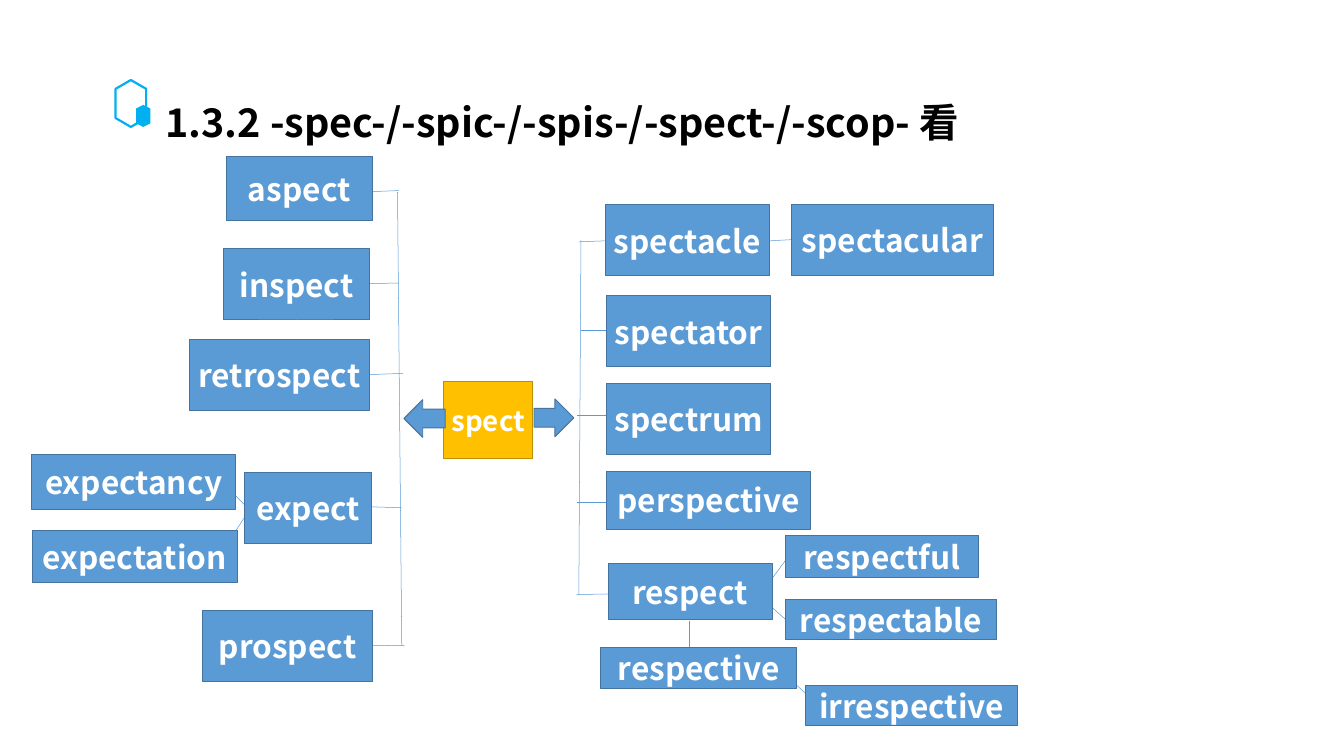
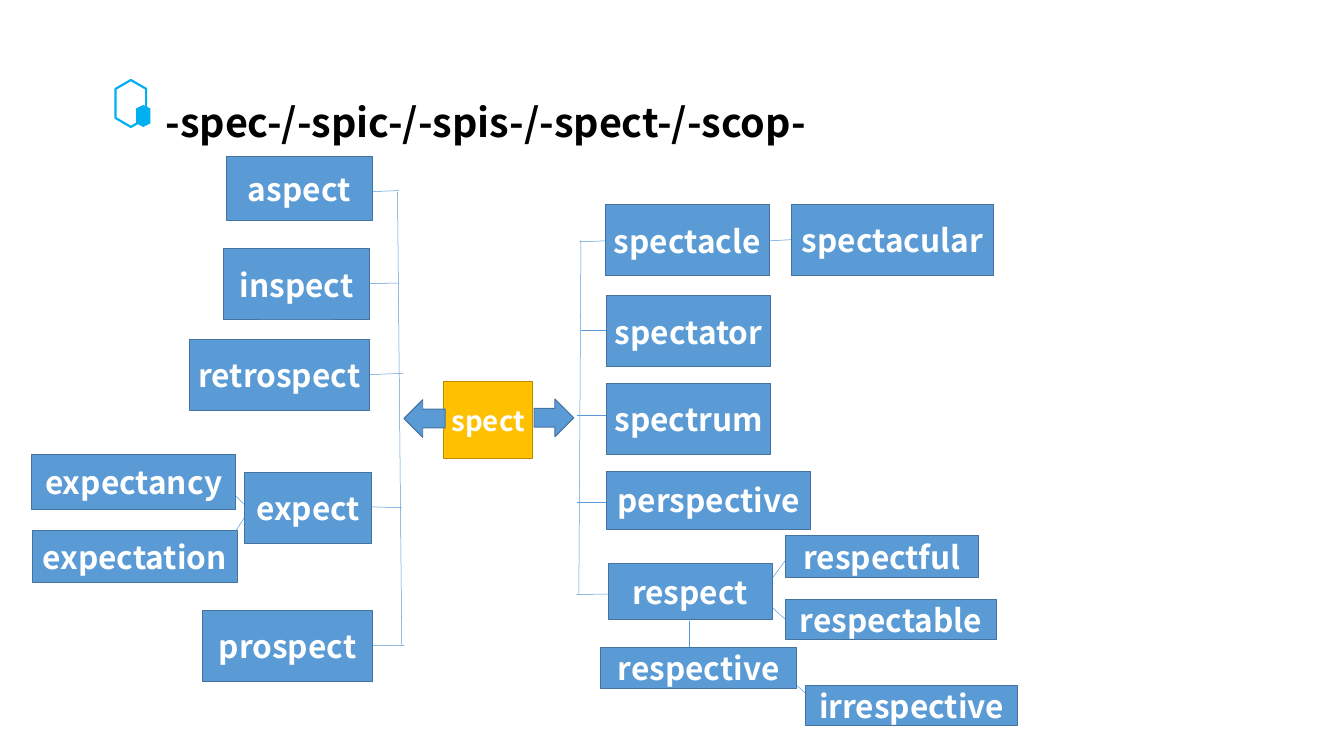
from dataclasses import dataclass

from lxml import etree
from pptx import Presentation
from pptx.dml.color import RGBColor
from pptx.enum.shapes import MSO_CONNECTOR, MSO_SHAPE
from pptx.enum.text import MSO_ANCHOR, PP_ALIGN
from pptx.oxml.ns import qn
from pptx.util import Inches, Pt

RECTANGLE = MSO_SHAPE.RECTANGLE
HEXAGON = MSO_SHAPE.HEXAGON
LEFT_ARROW = MSO_SHAPE.LEFT_ARROW
RIGHT_ARROW = MSO_SHAPE.RIGHT_ARROW
STRAIGHT = MSO_CONNECTOR.STRAIGHT
MIDDLE = MSO_ANCHOR.MIDDLE
LEFT, CENTER = PP_ALIGN.LEFT, PP_ALIGN.CENTER


@dataclass(frozen=True)
class Theme:
    font: str = "Noto Sans CJK SC"
    title_size: int = 40
    word_size: int = 32
    root_size: int = 28
    title: str = "000000"
    word_text: str = "FFFFFF"
    word: str = "5B9BD5"
    word_edge: str = "43739E"
    root: str = "FFC000"
    root_edge: str = "BD8E00"
    badge: str = "00B0F0"
    edge_width: float = 1
    link_width: float = 0.5
    badge_width: float = 2.25


THEME = Theme()

# Content: title and its box width
PAGES = [
    ("1.3.2 -spec-/-spic-/-spis-/-spect-/-scop- 看", 12.21),
    ("-spec-/-spic-/-spis-/-spect-/-scop-", 10.13),
]

# Word, box (left, top, width, height), link (from x, from y, to x, to y)
WORDS = [
    # Left branch
    ("aspect", (3.18, 2.2, 2.06, 0.9), (5.07, 2.7, 5.61, 2.68)),
    ("inspect", (3.14, 3.5, 2.06, 1), (5.03, 3.99, 5.61, 3.98)),
    ("retrospect", (2.67, 4.77, 2.52, 1), (5.12, 5.27, 5.67, 5.25)),
    ("expect", (3.44, 6.64, 1.79, 1), (5.02, 7.12, 5.65, 7.14)),
    ("expectancy", (0.45, 6.39, 2.86, 0.78), (2.99, 6.65, 3.47, 7.13)),
    ("expectation", (0.45, 7.46, 2.89, 0.73), (3.06, 7.86, 3.48, 7.21)),
    ("prospect", (2.85, 8.58, 2.39, 1), (5.03, 9.07, 5.69, 9.08)),
    # Right branch
    ("spectacle", (8.51, 2.88, 2.31, 1), (8.14, 3.4, 8.69, 3.38)),
    ("spectacular", (11.13, 2.87, 2.84, 1), (10.57, 3.4, 11.13, 3.37)),
    ("spectator", (8.53, 4.16, 2.31, 1), (8.17, 4.65, 8.71, 4.65)),
    ("spectrum", (8.53, 5.39, 2.31, 1), (8.12, 5.84, 8.68, 5.84)),
    ("perspective", (8.53, 6.63, 2.87, 0.81), (8.12, 7.06, 8.66, 7.06)),
    ("respect", (8.55, 7.92, 2.31, 0.79), (8.11, 8.36, 8.65, 8.35)),
    ("respectful", (11.05, 7.53, 2.71, 0.59), (10.58, 8.51, 11.06, 7.86)),
    ("respectable", (11.04, 8.43, 2.98, 0.56), (10.63, 8.34, 11.17, 8.82)),
    ("respective", (8.45, 9.11, 2.75, 0.57), (9.69, 8.73, 9.69, 9.15)),
    ("irrespective", (11.33, 9.64, 2.98, 0.56), (11.05, 9.5, 11.59, 9.98)),
]
TRUNKS = [(5.59, 2.7, 5.65, 9.08), (8.17, 3.38, 8.14, 8.36)]
ROOT = ("spect", (6.24, 5.36, 1.25, 1.09))
ARROWS = [
    (LEFT_ARROW, (5.68, 5.62, 0.58, 0.53)),
    (RIGHT_ARROW, (7.51, 5.61, 0.56, 0.53)),
]


def inches(values):
    return [Inches(value) for value in values]


def rgb(color):
    return RGBColor.from_string(color)


def write(box, text, size, color, align):
    frame = box.text_frame
    frame.word_wrap = False
    frame.vertical_anchor = MIDDLE
    para = frame.paragraphs[0]
    para.text = text
    para.alignment = align
    para.font.name = THEME.font
    para.font.size = Pt(size)
    para.font.bold = True
    para.font.color.rgb = rgb(color)
    # East Asian characters use the same typeface
    props = para.font._element
    etree.SubElement(props, qn("a:ea"), typeface=THEME.font)


def add_shape(shapes, kind, place, fill=None, edge=None, width=THEME.edge_width):
    shape = shapes.add_shape(kind, *inches(place))
    shape.shadow.inherit = False
    if fill:
        shape.fill.solid()
        shape.fill.fore_color.rgb = rgb(fill)
    else:
        shape.fill.background()
    if edge:
        shape.line.color.rgb = rgb(edge)
        shape.line.width = Pt(width)
    else:
        shape.line.fill.background()
    return shape


def add_word(page, text, place, size, fill, edge):
    box = add_shape(page.shapes, RECTANGLE, place, fill, edge)
    write(box, text, size, THEME.word_text, CENTER)


def add_link(page, ends):
    link = page.shapes.add_connector(STRAIGHT, *inches(ends))
    link.line.color.rgb = rgb(THEME.word)
    link.line.width = Pt(THEME.link_width)
    etree.SubElement(link._element.spPr, qn("a:effectLst"))


def add_heading(page, title, width):
    badge = page.shapes.add_group_shape().shapes
    outline = add_shape(badge, HEXAGON, (1.51, 1.24, 0.66, 0.43),
                        edge=THEME.badge, width=THEME.badge_width)
    outline.adjustments[0] = 0.29
    core = add_shape(badge, HEXAGON, (1.86, 1.53, 0.31, 0.2), THEME.badge)
    for hexagon in (outline, core):
        hexagon.rotation = 90
    box = page.shapes.add_textbox(*inches((2.23, 1.32, width, 0.77)))
    write(box, title, THEME.title_size, THEME.title, LEFT)


def add_word_map(page):
    # Links lie beneath the boxes
    for ends in TRUNKS + [link for _, _, link in WORDS]:
        add_link(page, ends)
    for text, place, _ in WORDS:
        add_word(page, text, place, THEME.word_size, THEME.word, THEME.word_edge)
    add_word(page, *ROOT, THEME.root_size, THEME.root, THEME.root_edge)
    for kind, place in ARROWS:
        add_shape(page.shapes, kind, place, THEME.word, THEME.word_edge)


def main():
    deck = Presentation()
    deck.slide_width, deck.slide_height = inches((18.9, 10.63))
    blank = deck.slide_layouts[6]
    for title, width in PAGES:
        page = deck.slides.add_slide(blank)
        add_heading(page, title, width)
        add_word_map(page)
    deck.save("out.pptx")


if __name__ == "__main__":
    main()
